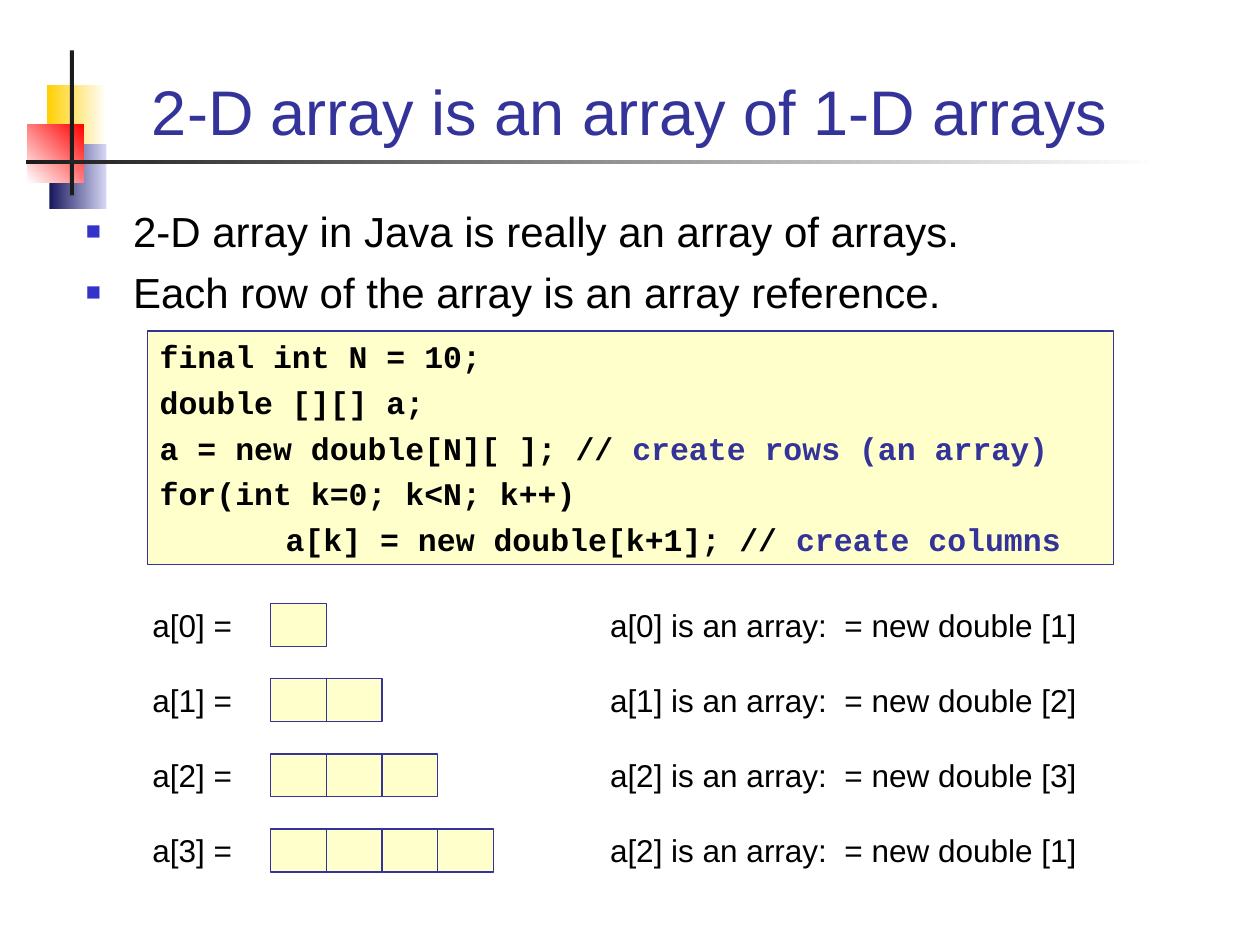
"""Build the slide on 2-D arrays as arrays of 1-D arrays."""
from lxml import etree
from pptx import Presentation
from pptx.dml.color import RGBColor
from pptx.enum.shapes import MSO_SHAPE
from pptx.enum.text import MSO_ANCHOR, MSO_AUTO_SIZE, PP_ALIGN
from pptx.oxml.ns import qn
from pptx.util import Pt

RECT = MSO_SHAPE.RECTANGLE
TOP, BOTTOM = MSO_ANCHOR.TOP, MSO_ANCHOR.BOTTOM
LEFT, CENTER = PP_ALIGN.LEFT, PP_ALIGN.CENTER
NO_FIT = MSO_AUTO_SIZE.NONE
INDIGO = RGBColor(0x33, 0x33, 0x99)
BLUE = RGBColor(0x33, 0x33, 0xCC)
NAVY = RGBColor(0x17, 0x17, 0x5E)
LILAC = RGBColor(0xD6, 0xD6, 0xF5)
GOLD = RGBColor(0xFF, 0xCF, 0x01)
RED = RGBColor(0xFF, 0, 0)
CREAM = RGBColor(0xFF, 0xFF, 0xCC)
DARK = RGBColor(0x1C, 0x1C, 0x1C)
WHITE = RGBColor(0xFF, 0xFF, 0xFF)
BLACK = RGBColor(0, 0, 0)

TITLE = "2-D array is an array of 1-D arrays"
BULLETS = [
    "2-D array in Java is really an array of arrays.",
    "Each row of the array is an array reference.",
]
CODE = [
    ("final int N = 10;", ""),
    ("double [][] a;", ""),
    ("a = new double[N][ ]; // ", "create rows (an array)"),
    ("for(int k=0; k<N; k++)", ""),
    ("\ta[k] = new double[k+1]; // ", "create columns"),
]
ROWS = [
    ("a[0] =", 1, "a[0] is an array:  = new double [1]"),
    ("a[1] =", 2, "a[1] is an array:  = new double [2]"),
    ("a[2] =", 3, "a[2] is an array:  = new double [3]"),
    ("a[3] =", 4, "a[2] is an array:  = new double [1]"),
]
DECOR = [
    ((26.9, 48.5, 33.8, 37.4), GOLD, WHITE, 0),
    ((28.2, 82, 32.6, 37.4), NAVY, LILAC, 0),
    ((15.6, 71, 32.4, 33.4), RED, WHITE, 225),
    ((40, 28.8, 2.2, 82.8), DARK, DARK, 0),
    ((15, 91.4, 647.3, 2.2), DARK, WHITE, 0),
]
ROW_TOP, ROW_STEP = 342.6, 43
LABEL_X, CELL_X, NOTE_X = 80, 154.8, 341.5
CELL_W, CELL_H, CELL_DROP = 31.8, 24.5, 2.2


def place(shape, box):
    shape.left, shape.top, shape.width, shape.height = map(Pt, box)


def add_rect(s, box, color, line=None):
    sp = s.shapes.add_shape(RECT, *map(Pt, box))
    sp.shadow.inherit = False
    sp.fill.solid()
    sp.fill.fore_color.rgb = color
    if line is None:
        sp.line.fill.background()
    else:
        sp.line.color.rgb = line
        sp.line.width = Pt(0.75)
    return sp


def add_decor(s, box, start, end, angle):
    sp = add_rect(s, box, start)
    if start != end:
        sp.fill.gradient()
        sp.fill.gradient_angle = angle
        for stop, color in zip(sp.fill.gradient_stops, (start, end)):
            stop.color.rgb = color


def style(run, size, color, name="Arial", bold=False):
    run.font.size, run.font.name, run.font.bold = Pt(size), name, bold
    run.font.color.rgb = color


def frame(sp, anchor=TOP):
    tf = sp.text_frame
    tf.word_wrap = True
    tf.auto_size = NO_FIT
    tf.vertical_anchor = anchor
    return tf


def add_bullet(p):
    pPr = p._p.get_or_add_pPr()
    pPr.set("marL", str(Pt(27)))
    pPr.set("indent", str(Pt(-27)))
    clr = etree.SubElement(pPr, qn("a:buClr"))
    etree.SubElement(clr, qn("a:srgbClr"), val=str(BLUE))
    etree.SubElement(pPr, qn("a:buSzPct"), val="60000")
    etree.SubElement(pPr, qn("a:buFont"), typeface="Arial")
    etree.SubElement(pPr, qn("a:buChar"), char="■")


def add_tab(p, pos):
    tabs = etree.SubElement(p._p.get_or_add_pPr(), qn("a:tabLst"))
    etree.SubElement(tabs, qn("a:tab"), pos=str(Pt(pos)), algn="l")


def add_title(s):
    sp = s.shapes.title
    place(sp, (48.2, 20, 623.5, 68.4))
    tf = frame(sp, BOTTOM)
    tf.text = TITLE
    p = tf.paragraphs[0]
    p.alignment = CENTER
    style(p.runs[0], 36, INDIGO)


def add_body(s):
    sp = s.placeholders[1]
    place(sp, (41.8, 113.8, 623.5, 72))
    tf = frame(sp)
    tf.text = "\n".join(BULLETS)
    for i, p in enumerate(tf.paragraphs):
        add_bullet(p)
        p.space_before = Pt(6 if i else 0)
        style(p.runs[0], 24, BLACK)


def add_code(s):
    tf = frame(add_rect(s, (84.2, 189.2, 552.2, 133.2), CREAM, INDIGO))
    tf.text = "\n".join(code for code, _ in CODE)
    for i, (p, (_, comment)) in enumerate(zip(tf.paragraphs, CODE)):
        add_tab(p, 72)
        p.alignment = LEFT
        p.space_before = Pt(4.5 if i else 0)
        style(p.runs[0], 18, BLACK, "Courier New", True)
        if comment:
            r = p.add_run()
            r.text = comment
            style(r, 18, INDIGO, "Courier New", True)


def add_label(s, text, x, y, width):
    tf = frame(s.shapes.add_textbox(Pt(x), Pt(y), Pt(width), Pt(28.8)))
    tf.text = text
    style(tf.paragraphs[0].runs[0], 18, BLACK)


def add_rows(s):
    for i, (label, count, note) in enumerate(ROWS):
        y = ROW_TOP + i * ROW_STEP
        add_label(s, label, LABEL_X, y, 64)
        for k in range(count):
            box = (CELL_X + k * CELL_W, y + CELL_DROP, CELL_W, CELL_H)
            add_rect(s, box, CREAM, INDIGO)
        add_label(s, note, NOTE_X, y, 300)


def main():
    prs = Presentation()
    prs.slide_width, prs.slide_height = Pt(720), Pt(540)
    s = prs.slides.add_slide(prs.slide_layouts[1])
    for decor in DECOR:
        add_decor(s, *decor)
    add_title(s)
    add_body(s)
    add_code(s)
    add_rows(s)
    prs.save("out.pptx")


if __name__ == "__main__":
    main()
